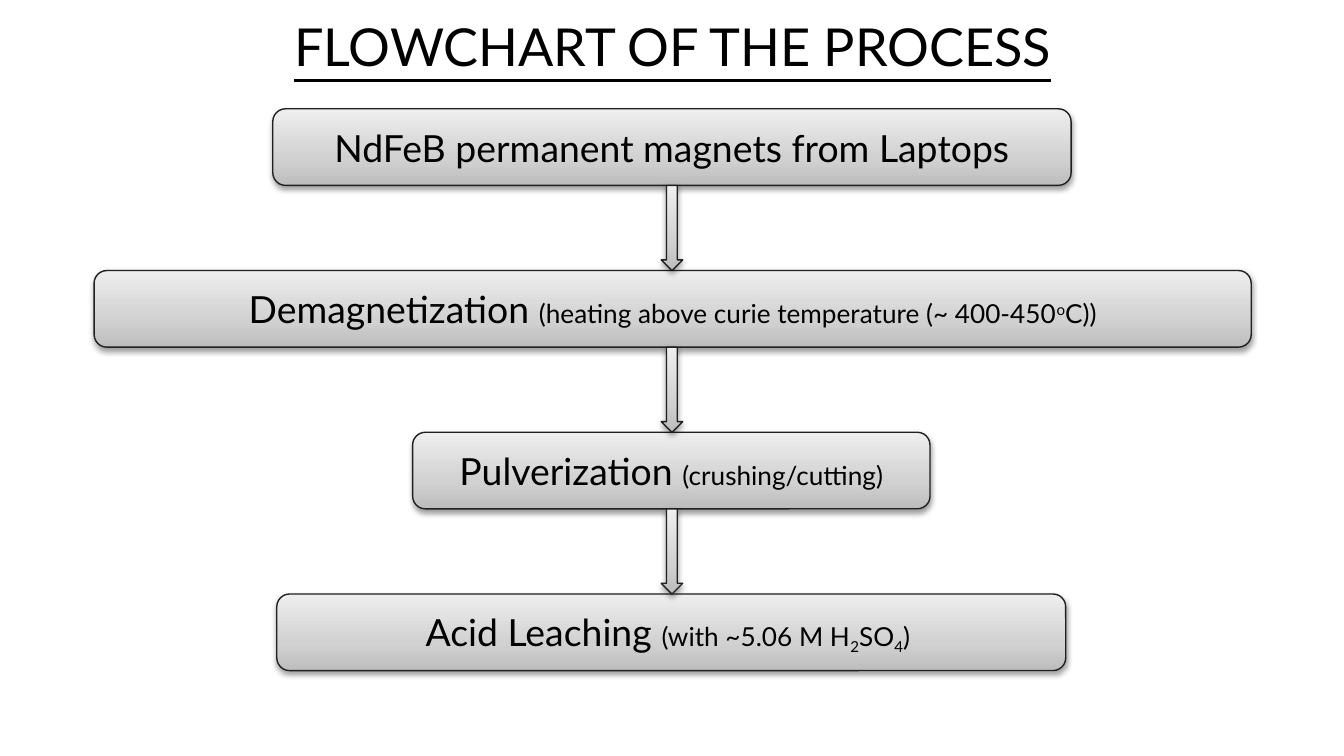
from copy import deepcopy
from lxml import etree
from pptx import Presentation
from pptx.dml.color import RGBColor
from pptx.enum import shapes, text
from pptx.oxml.ns import qn
from pptx.util import Inches, Pt

BLACK = RGBColor(0x00, 0x00, 0x00)
EDGE = RGBColor(0x20, 0x20, 0x20)
DARK = RGBColor(0xBD, 0xBD, 0xBD)
MID = RGBColor(0xD1, 0xD1, 0xD1)
LIGHT = RGBColor(0xEE, 0xEE, 0xEE)
FONT = "Lato"

deck = Presentation()
deck.slide_width = Inches(10)
deck.slide_height = Inches(10 * 9 / 16)
slide = deck.slides.add_slide(deck.slide_layouts[6])


def add_block(kind, left, top, width, height):
    block = slide.shapes.add_shape(
        kind, Inches(left), Inches(top), Inches(width), Inches(height))
    block.fill.gradient()
    block.fill.gradient_angle = 90
    stops = block._element.spPr.find(".//" + qn("a:gsLst"))
    stops.insert(1, deepcopy(stops[0]))
    for stop, place, tone in zip(block.fill.gradient_stops, (0, 0.35, 1), (DARK, MID, LIGHT)):
        stop.position = place
        stop.color.rgb = tone
    block.line.color.rgb = EDGE
    block.line.width = Pt(0.75)
    block.shadow.inherit = False
    effects = block._element.spPr.find(qn("a:effectLst"))
    shadow = etree.SubElement(effects, qn("a:outerShdw"), blurRad=str(Pt(3.1)),
                              dist=str(Pt(1.6)), dir="5400000", rotWithShape="0")
    shade = etree.SubElement(shadow, qn("a:srgbClr"), val=str(BLACK))
    etree.SubElement(shade, qn("a:alpha"), val="38000")
    return block


def style(run, size):
    run.font.name = FONT
    run.font.size = Pt(size)
    run.font.color.rgb = BLACK


title = slide.shapes.add_textbox(Inches(1.96), Inches(0.06), Inches(6.09), Inches(0.57))
frame = title.text_frame
frame.word_wrap = True
frame.auto_size = text.MSO_AUTO_SIZE.SHAPE_TO_FIT_TEXT
frame.text = "FLOWCHART OF THE PROCESS"
line = frame.paragraphs[0]
line.alignment = text.PP_ALIGN.CENTER
style(line.runs[0], 28)
line.runs[0].font.underline = True

steps = [
    (2.03, 5.94, [("NdFeB permanent magnets from Laptops", 20, 0)]),
    (0.7, 8.61, [("Demagnetization ", 20, 0),
                 ("(heating above curie temperature (~ 400-450", 14, 0),
                 ("o", 14, 30), ("C))", 14, 0)]),
    (3.07, 3.85, [("Pulverization ", 20, 0), ("(crushing/cutting)", 14, 0)]),
    (2.06, 5.87, [("Acid Leaching ", 20, 0), ("(with ~5.06 M H", 14, 0),
                  ("2", 14, -25), ("SO", 14, 0), ("4", 14, -25), (") ", 14, 0)]),
]
first, last, height = 0.81, 4.42, 0.57
pitch = (last - first) / (len(steps) - 1)

for row, (left, width, parts) in enumerate(steps):
    box = add_block(shapes.MSO_SHAPE.ROUNDED_RECTANGLE, left, first + row * pitch, width, height)
    frame = box.text_frame
    frame.word_wrap = True
    frame.vertical_anchor = text.MSO_ANCHOR.MIDDLE
    line = frame.paragraphs[0]
    line.alignment = text.PP_ALIGN.CENTER
    for words, size, shift in parts:
        run = line.add_run()
        run.text = words
        style(run, size)
        if shift:
            run.font._element.set("baseline", str(shift * 1000))

for row in range(len(steps) - 1):
    add_block(shapes.MSO_SHAPE.DOWN_ARROW, 4.92, first + row * pitch + height,
              0.16, pitch - height)

deck.save("out.pptx")
